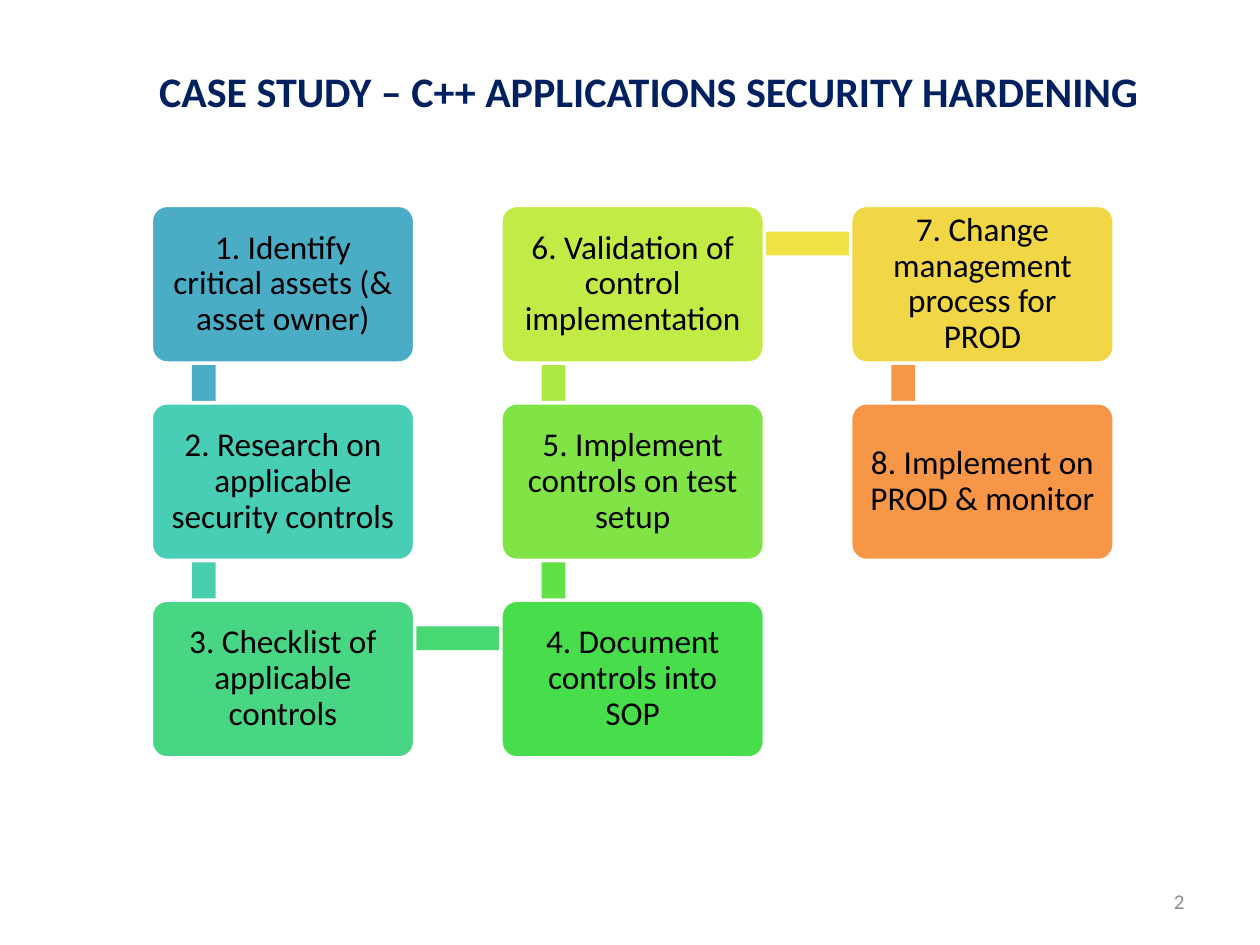
from dataclasses import dataclass
from pptx import Presentation
from pptx.dml.color import RGBColor
from pptx.enum.shapes import MSO_SHAPE as Preset
from pptx.enum.text import MSO_ANCHOR as Anchor, PP_ALIGN as Align
from pptx.slide import Slide
from pptx.util import Cm, Pt

NAVY = RGBColor(0x00, 0x20, 0x60)
GREY = RGBColor(0x8C, 0x8C, 0x8C)
BLACK = RGBColor(0x00, 0x00, 0x00)
WHITE = RGBColor(0xFF, 0xFF, 0xFF)
BLUE = RGBColor(0x4B, 0xAC, 0xC6)
TURQUOISE = RGBColor(0x49, 0xCE, 0xB6)
AQUA = RGBColor(0x49, 0xCF, 0xAE)
JADE = RGBColor(0x48, 0xD6, 0x84)
MINT = RGBColor(0x47, 0xD8, 0x72)
GREEN = RGBColor(0x47, 0xDD, 0x4B)
GRASS = RGBColor(0x60, 0xE1, 0x46)
LIME = RGBColor(0x80, 0xE4, 0x46)
SPRING = RGBColor(0xAC, 0xE9, 0x46)
CHARTREUSE = RGBColor(0xC3, 0xEB, 0x46)
YELLOW = RGBColor(0xF0, 0xE1, 0x46)
GOLD = RGBColor(0xF1, 0xD7, 0x46)
ORANGE = RGBColor(0xF7, 0x96, 0x46)

LEFT, TOP = 3.05, 4.14
PITCH_X, PITCH_Y = 7.05, 3.98
BOX_W, BOX_H = 5.31, 3.18
BAR = 0.48

STEPS = [
    ("1. Identify critical assets (& asset owner)", 0, 0, BLUE, BLUE),
    ("2. Research on applicable security controls", 0, 1, TURQUOISE, AQUA),
    ("3. Checklist of applicable controls", 0, 2, JADE, MINT),
    ("4. Document controls into SOP", 1, 2, GREEN, GRASS),
    ("5. Implement controls on test setup", 1, 1, LIME, SPRING),
    ("6. Validation of control implementation", 1, 0, CHARTREUSE, YELLOW),
    ("7. Change management process for PROD", 2, 0, GOLD, ORANGE),
    ("8. Implement on PROD & monitor", 2, 1, ORANGE, None),
]


@dataclass
class ProcessSlide:
    """Holds the style and the current slide."""

    slide: Slide
    font: str = "Calibri"

    def set_text(self, frame, text, size, color, align=Align.CENTER, bold=False):
        frame.text = text
        frame.word_wrap = True
        frame.vertical_anchor = Anchor.MIDDLE
        paragraph = frame.paragraphs[0]
        paragraph.alignment = align
        font = paragraph.runs[0].font
        font.color.rgb = color
        for name, value in {"name": self.font, "size": Pt(size), "bold": bold}.items():
            setattr(font, name, value)
        return paragraph

    def title(self, text, left, top, width, height):
        heading = self.slide.shapes.title
        place = {"left": left, "top": top, "width": width, "height": height}
        for name, value in place.items():
            setattr(heading, name, Cm(value))
        self.set_text(heading.text_frame, text, 24, NAVY, bold=True)

    def block(self, preset, left, top, width, height, color):
        block = self.slide.shapes.add_shape(preset, Cm(left), Cm(top), Cm(width), Cm(height))
        block.shadow.inherit = False
        block.fill.solid()
        block.fill.fore_color.rgb = color
        block.line.fill.background()
        return block

    def link(self, start, end, color):
        (column, row), (next_column, next_row) = start, end
        left = LEFT + column * PITCH_X
        top = TOP + min(row, next_row) * PITCH_Y
        if column == next_column:
            self.block(Preset.RECTANGLE, left + 0.82, top + 0.79, BAR, PITCH_Y, color)
        else:
            self.block(Preset.RECTANGLE, left + 1.07, top + 0.53, PITCH_X, BAR, color)

    def step(self, text, column, row, color):
        left, top = LEFT + column * PITCH_X, TOP + row * PITCH_Y
        box = self.block(Preset.ROUNDED_RECTANGLE, left, top, BOX_W, BOX_H, color)
        box.adjustments[0] = 0.1
        box.line.color.rgb = WHITE
        box.line.width = Pt(2)
        for side in ("left", "top", "right", "bottom"):
            setattr(box.text_frame, f"margin_{side}", Cm(0.29))
        self.set_text(box.text_frame, text, 19, BLACK).line_spacing = 0.9

    def page_number(self, text, left, top, width, height):
        number = self.slide.shapes.add_textbox(Cm(left), Cm(top), Cm(width), Cm(height))
        self.set_text(number.text_frame, text, 12, GREY, Align.RIGHT)


def main():
    deck = Presentation()
    deck.slide_width, deck.slide_height = Cm(25.4), Cm(19.05)
    process = ProcessSlide(deck.slides.add_slide(deck.slide_layouts[5]))
    process.title("CASE STUDY – C++ APPLICATIONS SECURITY HARDENING", 1.65, 0.58, 22.86, 2.49)
    for index, (text, column, row, color, link_color) in enumerate(STEPS):
        if link_color is not None:
            process.link((column, row), STEPS[index + 1][1:3], link_color)
        process.step(text, column, row, color)
    process.page_number("2", 18.2, 17.66, 5.93, 1.01)
    deck.save("out.pptx")


if __name__ == "__main__":
    main()
